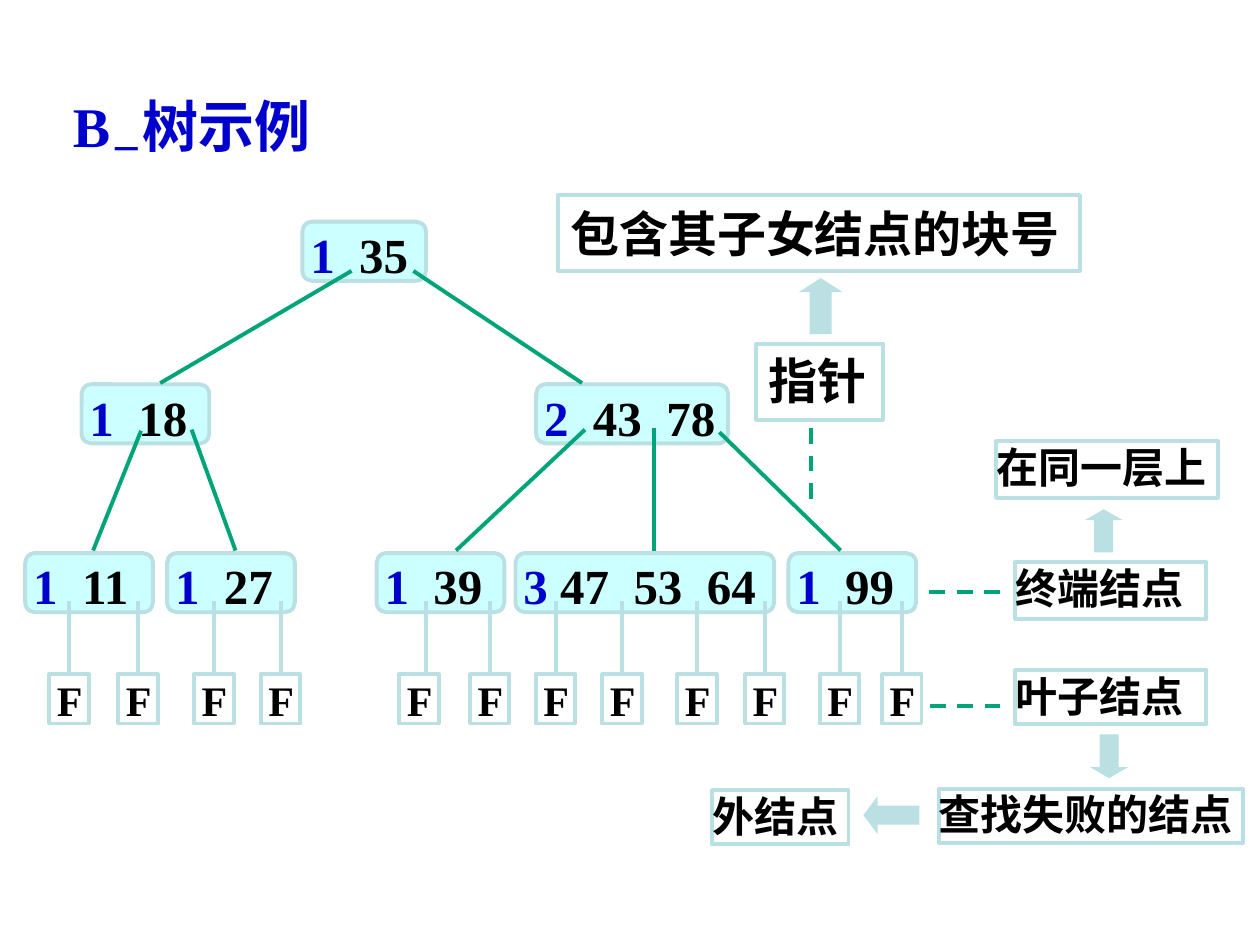
from lxml import etree
from pptx import Presentation
from pptx.dml.color import RGBColor
from pptx.enum.dml import MSO_LINE
from pptx.enum.shapes import MSO_CONNECTOR, MSO_SHAPE
from pptx.enum.text import MSO_ANCHOR, PP_ALIGN
from pptx.oxml.ns import qn
from pptx.util import Pt

RECT, ROUNDED = MSO_SHAPE.RECTANGLE, MSO_SHAPE.ROUNDED_RECTANGLE
UP, DOWN, LEFT = MSO_SHAPE.UP_ARROW, MSO_SHAPE.DOWN_ARROW, MSO_SHAPE.LEFT_ARROW
STRAIGHT, DASH = MSO_CONNECTOR.STRAIGHT, MSO_LINE.DASH
TOP, MIDDLE, JUSTIFY = MSO_ANCHOR.TOP, MSO_ANCHOR.MIDDLE, PP_ALIGN.JUSTIFY

BLACK = RGBColor(0x00, 0x00, 0x00)
BLUE = RGBColor(0x00, 0x00, 0xCC)
CYAN = RGBColor(0xCC, 0xFF, 0xFF)
TEAL = RGBColor(0xBB, 0xE0, 0xE3)
GREEN = RGBColor(0x00, 0xA4, 0x79)
SERIF, SANS, HAN = "Times New Roman", "Arial", "Noto Sans CJK SC"

TITLE = [("B", 0), ("－", -25000), ("树示例", 0)]

# Each level: top, then nodes as (left, width, key count, keys)
NODE_HEIGHT = 33.8
LEVELS = [
    (126.7, [(172.8, 70.6, "1", "  35")]),
    (219.6, [(46.6, 73, "1", "  18"), (306.4, 109.7, "2", "  43  78")]),
    (316.1, [(14.4, 73, "1", "  11"), (95.5, 73, "1", "  27"),
             (215.2, 73, "1", "  39"), (294.6, 147.8, "3", " 47  53  64"),
             (450.5, 73, "1", "  99")]),
]
# Start x, start y, end x of the branches that reach each level
BRANCHES = [
    (218.9, [(236.2, 154.8, 332.6), (200.9, 154.8, 91.6)]),
    (314.6, [(80.6, 246.2, 53.2), (109.5, 245.5, 134.6),
             (334.3, 245.5, 260.6), (411.1, 247, 480.4), (373.7, 244.8, 373.7)]),
]
STEMS = [39.6, 78.9, 122.3, 160.4, 243.3, 279.9,
         317.5, 355.5, 398.3, 437.1, 479.8, 515.4]
LEAF_OFFSETS = {243.3: 15.1}
LEAF_OFFSET, LEAF_TOP, LEAF_WIDTH, LEAF_HEIGHT = 11.3, 385.2, 22.5, 28.3
STEM_TOP = 343.4

# Text, left, top, width, height
SIDE_NOTES = [
    ("叶子结点", 580.2, 383, 109, 31),
    ("查找失败的结点", 536.5, 450.8, 173.8, 31),
    ("终端结点", 580.2, 321.2, 109, 32.5),
    ("在同一层上", 569.2, 252, 126.7, 32.5),
    ("外结点", 406.9, 451.5, 78, 31),
]
# Text, font, anchor, left, top, width, height
POINTER_NOTES = [
    ("指针", SANS, TOP, 432, 196.6, 72.7, 43.2),
    ("包含其子女结点的块号", HAN, MIDDLE, 318.8, 111.5, 298.3, 43.2),
]
# Start and end of the dashed leaders
LEADERS = [(531.4, 403.2, 577.3, 403.2), (531.1, 338.2, 576.6, 338.2),
           (463.7, 285.1, 463.7, 239)]
# Kind, head proportion, left, top, width, height
ARROWS = [
    (DOWN, 0.29, 623, 419.7, 21.6, 25),
    (UP, 0.29, 619.9, 291, 21.6, 24.7),
    (LEFT, 0.38, 493.3, 455, 32, 21.6),
    (UP, 0.32, 456.4, 158.9, 25.2, 32),
]

prs = Presentation()
prs.slide_width, prs.slide_height = Pt(720), Pt(540)
slide = prs.slides.add_slide(prs.slide_layouts[6])


def add_box(kind, box, fill=None, outlined=True):
    """Add a preset shape with an optional fill and teal outline."""
    shape = slide.shapes.add_shape(kind, *map(Pt, box))
    shape.shadow.inherit = False
    if fill is None:
        shape.fill.background()
    else:
        shape.fill.solid()
        shape.fill.fore_color.rgb = fill
    if outlined:
        shape.line.color.rgb = TEAL
        shape.line.width = Pt(2.25)
    else:
        shape.line.fill.background()
    return shape


def write(shape, runs, size, font=SERIF, insets=(0, 0, 0, 0),
          align=JUSTIFY, anchor=TOP, wrap=True):
    """Write (text, colour) runs as one bold paragraph; return the runs."""
    frame = shape.text_frame
    frame.word_wrap, frame.vertical_anchor = wrap, anchor
    (frame.margin_left, frame.margin_top,
     frame.margin_right, frame.margin_bottom) = map(Pt, insets)
    paragraph = frame.paragraphs[0]
    paragraph.alignment = align
    paragraph.font.size, paragraph.font.bold = Pt(size), True
    paragraph.font.name = font
    for text, color in runs:
        run = paragraph.add_run()
        run.text = text
        run.font.color.rgb = color
        etree.SubElement(run.font._element, qn("a:ea")).set("typeface", HAN)
    return paragraph.runs


def add_line(ends, color, dash=None):
    """Add a straight line without a shadow."""
    line = slide.shapes.add_connector(STRAIGHT, *map(Pt, ends))
    line.line.color.rgb = color
    line.line.width = Pt(2.25)
    if dash is not None:
        line.line.dash_style = dash
    etree.SubElement(line._element.spPr, qn("a:effectLst"))


for top, nodes in LEVELS:
    for left, width, count, keys in nodes:
        node = add_box(ROUNDED, (left, top, width, NODE_HEIGHT), CYAN)
        write(node, [(count, BLUE), (keys, BLACK)], 28, insets=(2.9, 0, 1.4, 0))

for stem in STEMS:
    add_line((stem, STEM_TOP, stem, LEAF_TOP), TEAL)
    left = stem - LEAF_OFFSETS.get(stem, LEAF_OFFSET)
    leaf = add_box(RECT, (left, LEAF_TOP, LEAF_WIDTH, LEAF_HEIGHT))
    write(leaf, [("F", BLACK)], 24, insets=(4.3, 0, 0, 0))

for bottom, branches in BRANCHES:
    for start_x, start_y, end_x in branches:
        add_line((start_x, start_y, end_x, bottom), GREEN)

title = slide.shapes.add_textbox(Pt(34.6), Pt(49), Pt(166.3), Pt(45.4))
title_runs = write(title, [(text, BLUE) for text, _ in TITLE], 32,
                   insets=(7.2, 3.6, 7.2, 3.6), align=None)
for run, (_, baseline) in zip(title_runs, TITLE):
    if baseline:
        run.font._element.set("baseline", str(baseline))

for text, *box in SIDE_NOTES:
    write(add_box(RECT, box), [(text, BLACK)], 24)

for text, font, anchor, *box in POINTER_NOTES:
    write(add_box(RECT, box), [(text, BLACK)], 28, font, (7.2, 3.6, 7.2, 3.6),
          PP_ALIGN.LEFT, anchor, wrap=False)

for ends in LEADERS:
    add_line(ends, GREEN, DASH)

for kind, head, *box in ARROWS:
    arrow = add_box(kind, box, TEAL, outlined=False)
    arrow.adjustments[1] = head

prs.save("out.pptx")
